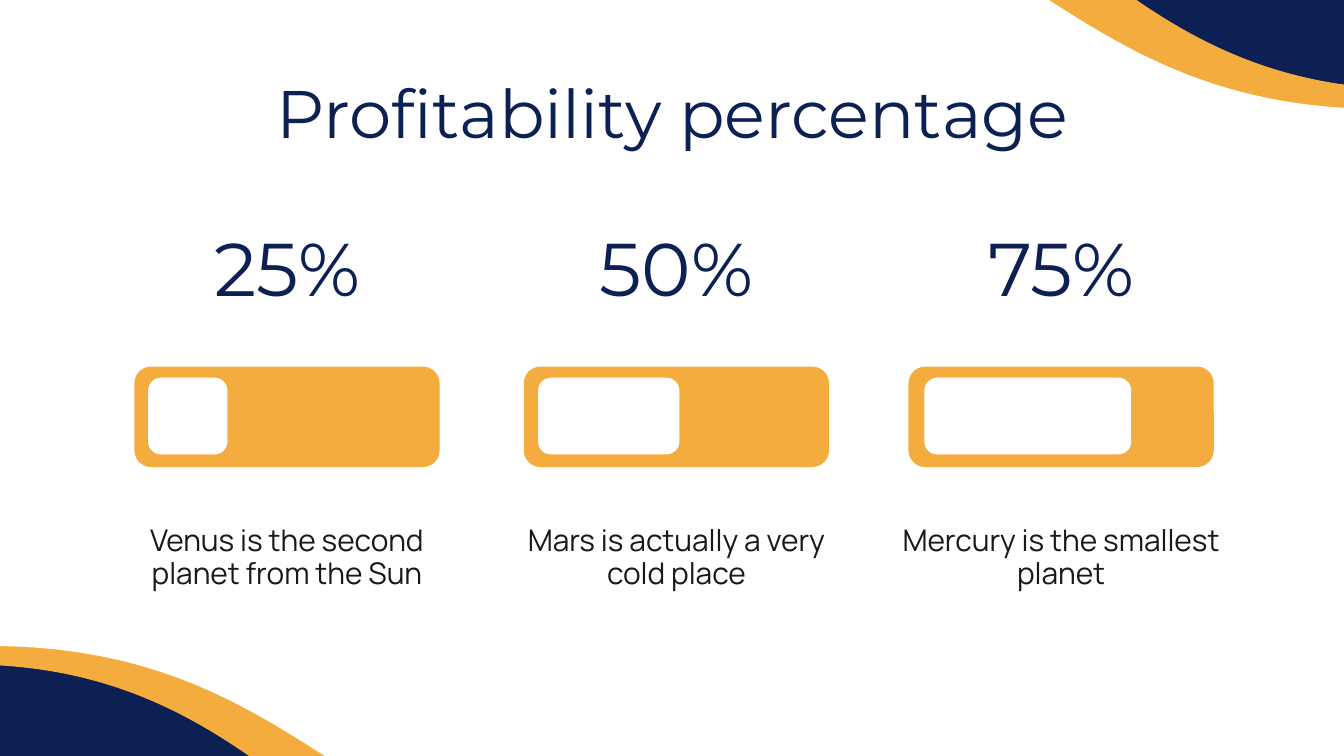
from dataclasses import dataclass

import pptx
import pptx.dml.color
import pptx.enum.shapes
import pptx.enum.text
import pptx.util
from pptx.util import Cm

SHAPES = pptx.enum.shapes.MSO_SHAPE


@dataclass(frozen=True)
class TextStyle:
    font: str
    size: int
    color: str
    line_spacing: float = 1.0


@dataclass(frozen=True)
class Theme:
    navy: str = "0C2054"
    orange: str = "F3AC3D"
    white: str = "FFFFFF"
    heading: TextStyle = TextStyle("Montserrat", 36, "0C2054")
    percentage: TextStyle = TextStyle("Montserrat", 40, "0C2054")
    caption: TextStyle = TextStyle("Manrope", 16, "191919", 0.9)


@dataclass(frozen=True)
class Box:
    """Position and size in centimetres."""
    left: float
    top: float
    width: float
    height: float

    def lengths(self):
        return Cm(self.left), Cm(self.top), Cm(self.width), Cm(self.height)


@dataclass(frozen=True)
class Wave:
    box: Box
    color: str
    rotation: int


@dataclass(frozen=True)
class Gauge:
    left: float
    percentage: str
    caption: str
    level_inset: float
    level_width: float


THEME = Theme()
COLUMN_WIDTH = 6.63
BAR_INDENT = 0.43
CORNER = 0.167

WAVES = [
    Wave(Box(-0.61, -6.1, 14.22, 23.27), THEME.orange, 0),
    Wave(Box(12.52, -2.92, 14.22, 23.27), THEME.orange, 180),
    Wave(Box(-0.18, -3.53, 14.22, 19.63), THEME.white, 0),
    Wave(Box(11.89, -1.83, 14.22, 19.63), THEME.white, 180),
]
GAUGES = [
    Gauge(2.11, "25%", "Venus is the second planet from the Sun", 0.26, 1.5),
    Gauge(9.47, "50%", "Mars is actually a very cold place", 0.27, 2.67),
    Gauge(16.74, "75%", "Mercury is the smallest planet", 0.3, 3.91),
]


def rgb(color: str) -> pptx.dml.color.RGBColor:
    return pptx.dml.color.RGBColor.from_string(color)


def add_filled(slide, kind, box: Box, color: str):
    shape = slide.shapes.add_shape(kind, *box.lengths())
    shape.shadow.inherit = False
    shape.fill.solid()
    shape.fill.fore_color.rgb = rgb(color)
    shape.line.fill.background()
    return shape


def add_wave(slide, wave: Wave) -> None:
    shape = add_filled(slide, SHAPES.FLOWCHART_DOCUMENT, wave.box, wave.color)
    shape.rotation = wave.rotation
    shape.element.spPr.xfrm.set("flipH", "1")


def add_bar(slide, box: Box, color: str) -> None:
    bar = add_filled(slide, SHAPES.ROUNDED_RECTANGLE, box, color)
    bar.adjustments[0] = CORNER


def add_text(slide, box: Box, text: str, style: TextStyle) -> None:
    frame = slide.shapes.add_textbox(*box.lengths()).text_frame
    frame.word_wrap = True
    frame.vertical_anchor = pptx.enum.text.MSO_ANCHOR.MIDDLE
    frame.margin_left = frame.margin_right = Cm(0.25)
    frame.margin_top = frame.margin_bottom = Cm(0.25)
    paragraph = frame.paragraphs[0]
    paragraph.text = text
    paragraph.alignment = pptx.enum.text.PP_ALIGN.CENTER
    paragraph.line_spacing = style.line_spacing
    paragraph.font.name = style.font
    paragraph.font.size = pptx.util.Pt(style.size)
    paragraph.font.color.rgb = rgb(style.color)


def add_gauge(slide, gauge: Gauge) -> None:
    bar_left = gauge.left + BAR_INDENT
    level_left = bar_left + gauge.level_inset
    add_text(slide, Box(gauge.left, 4.32, COLUMN_WIDTH, 1.45),
             gauge.percentage, THEME.percentage)
    add_bar(slide, Box(bar_left, 6.93, 5.77, 1.9), THEME.orange)
    add_bar(slide, Box(level_left, 7.14, gauge.level_width, 1.45), THEME.white)
    add_text(slide, Box(gauge.left, 9.73, COLUMN_WIDTH, 1.65),
             gauge.caption, THEME.caption)


def main() -> None:
    deck = pptx.Presentation()
    deck.slide_width, deck.slide_height = Cm(25.4), Cm(14.29)
    slide = deck.slides.add_slide(deck.slide_layouts[6])

    # Navy background with wavy corners
    slide.background.fill.solid()
    slide.background.fill.fore_color.rgb = rgb(THEME.navy)
    for wave in WAVES:
        add_wave(slide, wave)

    # Heading
    add_text(slide, Box(2.03, 1.47, 21.36, 1.3),
             "Profitability percentage", THEME.heading)

    # Percentage gauges
    for gauge in GAUGES:
        add_gauge(slide, gauge)

    deck.save("out.pptx")


if __name__ == "__main__":
    main()
